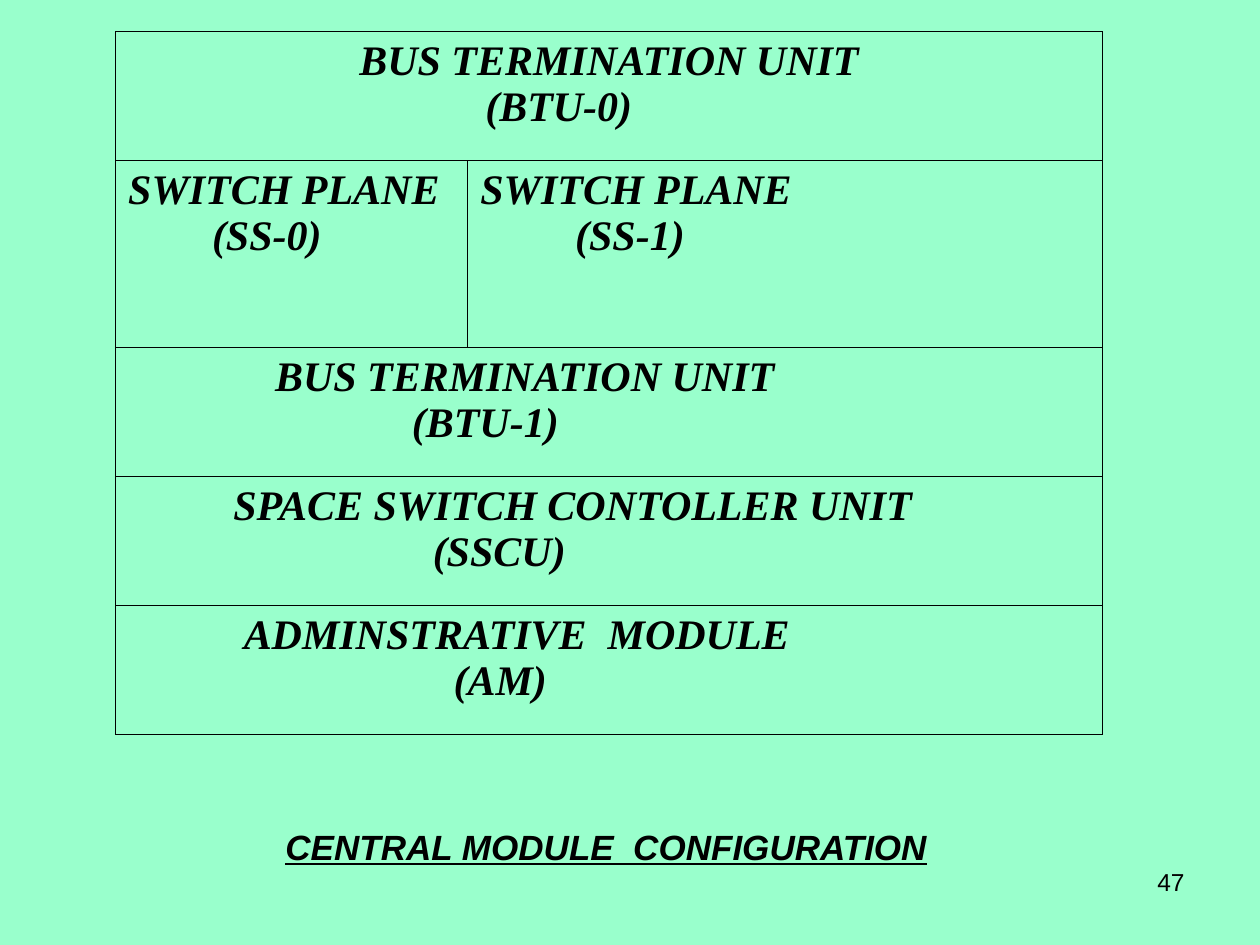
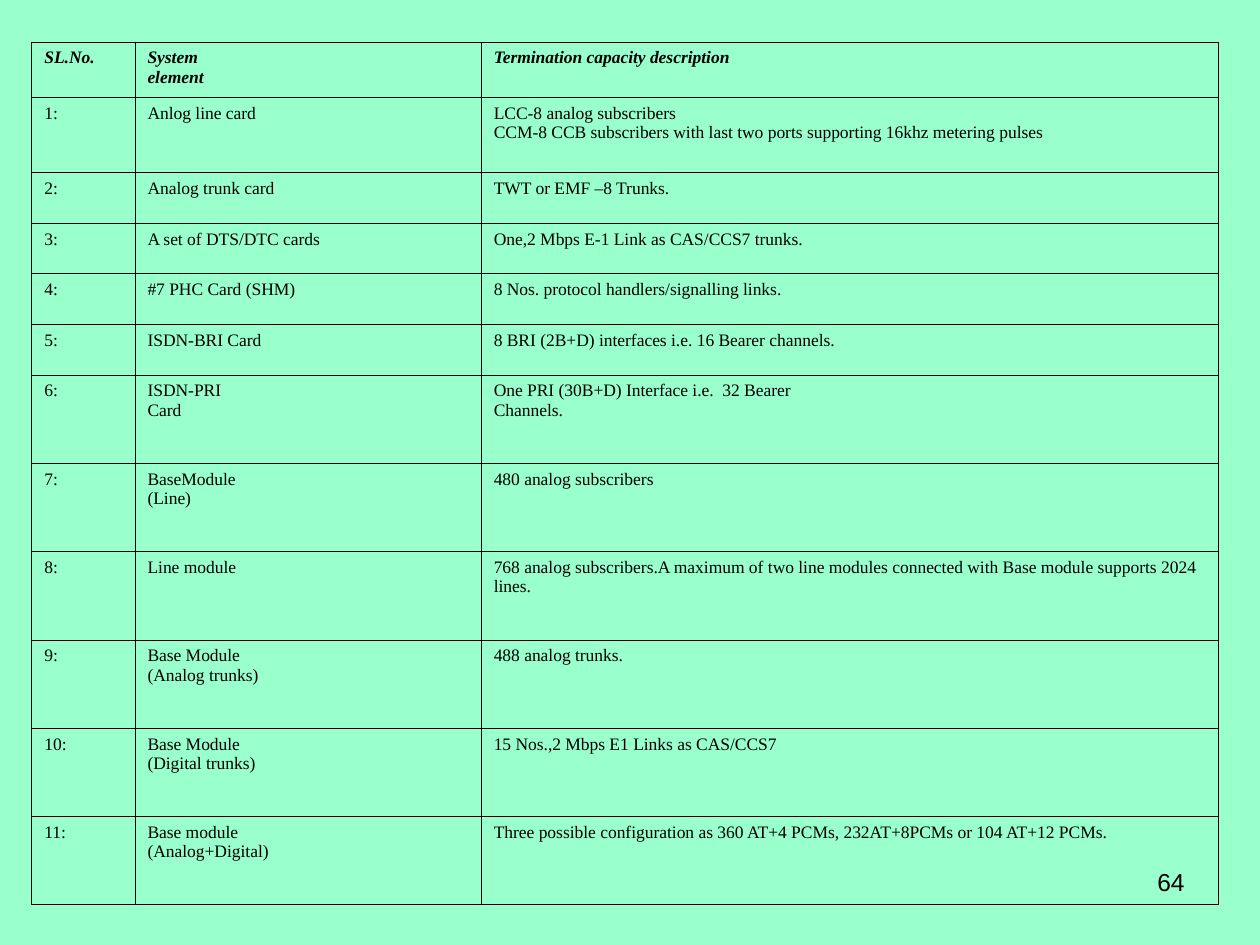
from lxml import etree
from pptx import Presentation
from pptx.dml.color import RGBColor
from pptx.enum.text import MSO_ANCHOR, MSO_AUTO_SIZE, PP_ALIGN
from pptx.oxml.ns import qn
from pptx.util import Cm, Pt

MINT, BLACK = "99FFCC", "000000"
SERIF, SANS = "Times New Roman", "Arial"
TITLE_ONLY, BLANK = 5, 6

# Each line of a module cell is (left indent in cm, text).
SWITCH = "SWITCH PLANE"
BUS_UNIT = "BUS TERMINATION UNIT"
MODULES = [
    [[(4.66, BUS_UNIT), (7.2, "(BTU-0)")]],
    [[(0, SWITCH), (1.69, "(SS-0)")], [(0, SWITCH), (1.91, "(SS-1)")]],
    [[(2.96, BUS_UNIT), (5.72, "(BTU-1)")]],
    [[(2.12, "SPACE SWITCH CONTOLLER UNIT"), (6.14, "(SSCU)")]],
    [[(2.33, "ADMINSTRATIVE  MODULE"), (6.56, "(AM)")]],
]

CAPACITY_HEADER = ("SL.No.", "System\nelement", "Termination capacity description")
CAPACITIES = [
    ("Anlog line card", "LCC-8 analog subscribers\n"
     "CCM-8 CCB subscribers with last two ports supporting 16khz metering pulses"),
    ("Analog trunk card", "TWT or EMF –8 Trunks."),
    ("A set of DTS/DTC cards", "One,2 Mbps E-1 Link as CAS/CCS7 trunks."),
    ("#7 PHC Card (SHM)", "8 Nos. protocol handlers/signalling links."),
    ("ISDN-BRI Card", "8 BRI (2B+D) interfaces i.e. 16 Bearer channels."),
    ("ISDN-PRI\nCard", "One PRI (30B+D) Interface i.e.  32 Bearer\nChannels."),
    ("BaseModule\n(Line)", "480 analog subscribers"),
    ("Line module", "768 analog subscribers.A maximum of two line modules "
     "connected with Base module supports 2024 lines."),
    ("Base Module\n(Analog trunks)", "488 analog trunks."),
    ("Base Module\n(Digital trunks)", "15 Nos.,2 Mbps E1 Links as CAS/CCS7"),
    ("Base module\n(Analog+Digital)",
     "Three possible configuration as 360 AT+4 PCMs, 232AT+8PCMs or 104 AT+12 PCMs."),
]


def rgb(color):
    return RGBColor.from_string(color)


def set_font(p, name, size, strong=False):
    """Format a paragraph; strong means bold italic."""
    font = p.font
    font.name, font.size = name, Pt(size)
    font.bold = font.italic = strong
    font.color.rgb = rgb(BLACK)


def outline_cell(cell):
    """Leave the cell unfilled and draw a thin line on its four sides."""
    cell.fill.background()
    tcPr = cell._tc.get_or_add_tcPr()
    for i, side in enumerate(("a:lnL", "a:lnR", "a:lnT", "a:lnB")):
        ln = etree.Element(qn(side), w=str(Pt(0.45)))
        fill = etree.SubElement(ln, qn("a:solidFill"))
        etree.SubElement(fill, qn("a:srgbClr"), val=BLACK)
        tcPr.insert(i, ln)


def add_grid(slide, left, top, widths, heights):
    frame = slide.shapes.add_table(len(heights), len(widths), Cm(left), Cm(top),
                                   Cm(sum(widths)), Cm(sum(heights)))
    table = frame.table
    table.first_row = table.horz_banding = False
    for column, width in zip(table.columns, widths):
        column.width = Cm(width)
    for row, height in zip(table.rows, heights):
        row.height = Cm(height)
    for cell in table.iter_cells():
        outline_cell(cell)
    return table


def fill_cell(cell, lines, size, strong):
    """Write (indent, text) lines, one paragraph each."""
    tf = cell.text_frame
    tf.text = "\n".join(text for _, text in lines)
    for p, (indent, _) in zip(tf.paragraphs, lines):
        pPr = p._p.get_or_add_pPr()
        pPr.set("marL", str(Cm(indent)))
        pPr.set("indent", "0")
        set_font(p, SERIF, size, strong)


def add_page_number(slide, number):
    tf = slide.shapes.add_textbox(Cm(18.2), Cm(17.36), Cm(5.93), Cm(1.32)).text_frame
    tf.word_wrap = True
    p = tf.paragraphs[0]
    p.text = str(number)
    p.alignment = PP_ALIGN.RIGHT
    set_font(p, SANS, 14)


def set_title(slide, text):
    title = slide.shapes.title
    title.left, title.top, title.width, title.height = Cm(5.5), Cm(16.5), Cm(13.64), Cm(1.13)
    tf = title.text_frame
    tf.auto_size = MSO_AUTO_SIZE.NONE
    tf.vertical_anchor = MSO_ANCHOR.MIDDLE
    p = tf.paragraphs[0]
    p.text = text
    p.alignment = PP_ALIGN.LEFT
    set_font(p, SANS, 20, strong=True)
    p.font.underline = True


def add_module_slide(prs):
    slide = prs.slides.add_slide(prs.slide_layouts[TITLE_ONLY])
    table = add_grid(slide, 2.33, 0.64, (7.1, 12.8), (2.6, 3.77, 2.6, 2.6, 2.6))
    for r, modules in enumerate(MODULES):
        if len(modules) == 1:
            table.cell(r, 0).merge(table.cell(r, 1))
        for c, lines in enumerate(modules):
            fill_cell(table.cell(r, c), lines, 24, strong=True)
    set_title(slide, "CENTRAL MODULE  CONFIGURATION")
    add_page_number(slide, 47)


def add_capacity_slide(prs):
    slide = prs.slides.add_slide(prs.slide_layouts[BLANK])
    heights = [1.11, 1.52] + [1.02] * 4 + [1.78] * 6
    table = add_grid(slide, 0.64, 0.85, (2.08, 6.98, 14.86), heights)
    rows = [CAPACITY_HEADER]
    rows += [(f"{n}:", *entry) for n, entry in enumerate(CAPACITIES, 1)]
    for r, row in enumerate(rows):
        for c, text in enumerate(row):
            lines = [(0, line) for line in text.split("\n")]
            fill_cell(table.cell(r, c), lines, 10, strong=r == 0)
    add_page_number(slide, 64)


def main():
    prs = Presentation()
    prs.slide_width, prs.slide_height = Cm(25.4), Cm(19.05)
    background = prs.slide_master.background.fill
    background.solid()
    background.fore_color.rgb = rgb(MINT)
    add_module_slide(prs)
    add_capacity_slide(prs)
    prs.save("out.pptx")


if __name__ == "__main__":
    main()
